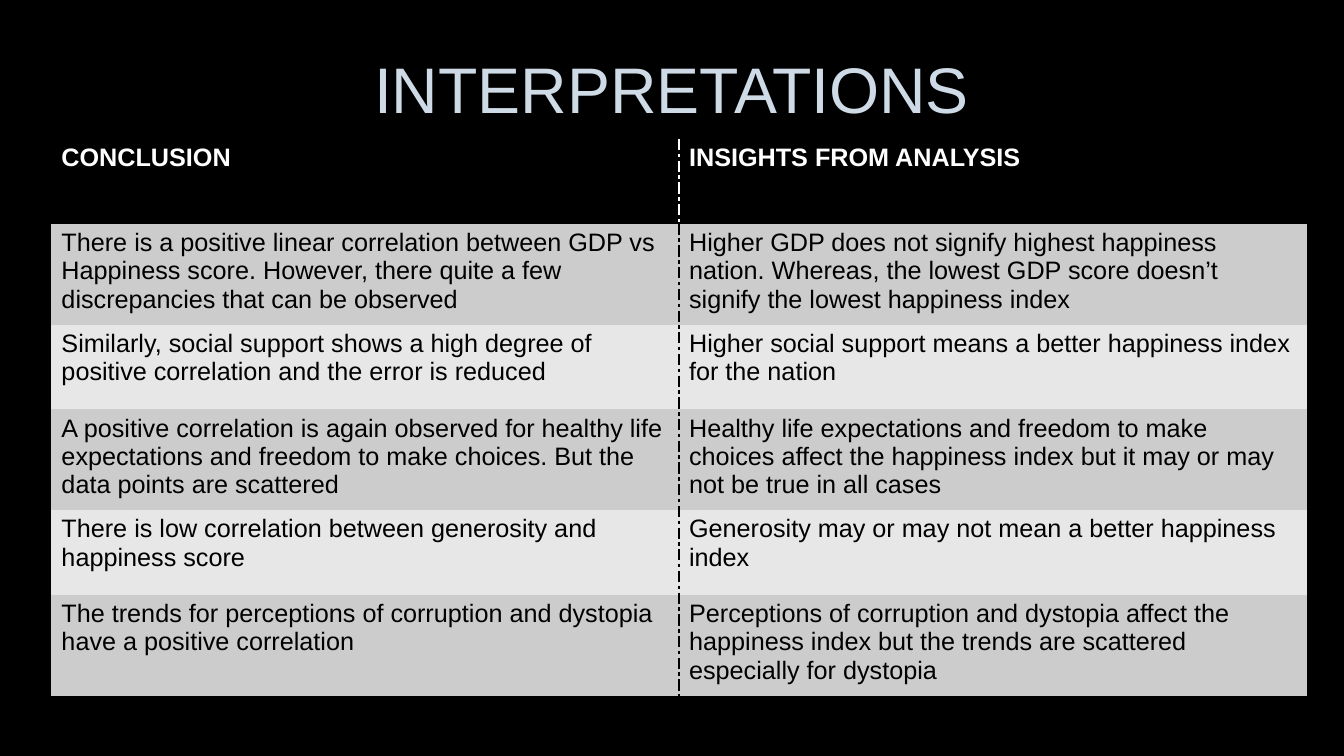
import pptx
import pptx.dml.color
import pptx.enum.text
import pptx.oxml
import pptx.oxml.ns
import pptx.util

WIDTH, HEIGHT = 13.33, 7.5
FONT = "Arial"
PLAIN_STYLE = "{2D5ABB26-0587-4C30-8999-92F81FD0307C}"
COLOURS = {
    "black": "000000",
    "white": "FFFFFF",
    "title": "CEDBE6",
    "outline": "404040",
    "odd": "CCCCCC",
    "even": "E7E7E7",
}
ROWS = [
    ("CONCLUSION", "INSIGHTS FROM ANALYSIS"),
    ("There is a positive linear correlation between GDP vs Happiness score. However, there quite a few discrepancies that can be observed",
     "Higher GDP does not signify highest happiness nation. Whereas, the lowest GDP score doesn’t signify the lowest happiness index"),
    ("Similarly, social support shows a high degree of positive correlation and the error is reduced",
     "Higher social support means a better happiness index for the nation"),
    ("A positive correlation is again observed for healthy life expectations and freedom to make choices. But the data points are scattered",
     "Healthy life expectations and freedom to make choices affect the happiness index but it may or may not be true in all cases"),
    ("There is low correlation between generosity and happiness score",
     "Generosity may or may not mean a better happiness index"),
    ("The trends for perceptions of corruption and dystopia have a positive correlation",
     "Perceptions of corruption and dystopia affect the happiness index but the trends are scattered especially for dystopia"),
]


def rgb(name):
    return pptx.dml.color.RGBColor.from_string(COLOURS[name])


def paint(fill, name):
    fill.solid()
    fill.fore_color.rgb = rgb(name)


def line_xml(tag, colour, width, dash, alpha=100):
    return pptx.oxml.parse_xml(
        f'<a:{tag} {pptx.oxml.ns.nsdecls("a")} w="{pptx.util.Pt(width)}">'
        f'<a:solidFill><a:srgbClr val="{COLOURS[colour]}">'
        f'<a:alpha val="{alpha * 1000}"/></a:srgbClr></a:solidFill>'
        f'<a:prstDash val="{dash}"/></a:{tag}>')


def write(text_frame, text, size=18, colour="black", bold=False, align="LEFT", spacing=1.0):
    paragraph = text_frame.paragraphs[0]
    paragraph.alignment = pptx.enum.text.PP_ALIGN[align]
    paragraph.line_spacing = spacing
    run = paragraph.add_run()
    run.text = text
    run.font.name = FONT
    run.font.size = pptx.util.Pt(size)
    run.font.bold = bold
    run.font.color.rgb = rgb(colour)
    return run


def add_title(slide, box):
    shape = slide.shapes.add_textbox(*map(pptx.util.Inches, box))
    text_frame = shape.text_frame
    text_frame.word_wrap = True
    text_frame.vertical_anchor = pptx.enum.text.MSO_ANCHOR.MIDDLE
    run = write(text_frame, "INTERPRETATIONS", size=46, colour="title",
                align="CENTER", spacing=0.9)
    run.font._element.insert(0, line_xml("ln", "outline", 0.75, "solid", alpha=10))


def add_findings(slide, box):
    frame = slide.shapes.add_table(len(ROWS), len(ROWS[0]), *map(pptx.util.Inches, box))
    table = frame.table
    table.horz_banding = False
    for style in table._tbl.iter(pptx.oxml.ns.qn("a:tableStyleId")):
        style.text = PLAIN_STYLE
    for row_index, row in enumerate(ROWS):
        header = row_index == 0
        band = "black" if header else ("even", "odd")[row_index % 2]
        ink = "white" if header else "black"
        for column_index, text in enumerate(row):
            cell = table.cell(row_index, column_index)
            write(cell.text_frame, text, colour=ink, bold=header)
            paint(cell.fill, band)
            side = ("lnR", "lnL")[column_index]
            cell._tc.get_or_add_tcPr().insert(0, line_xml(side, ink, 1, "lgDashDot"))


def main():
    presentation = pptx.Presentation()
    presentation.slide_width = pptx.util.Inches(WIDTH)
    presentation.slide_height = pptx.util.Inches(HEIGHT)
    slide = presentation.slides.add_slide(presentation.slide_layouts[6])
    paint(slide.background.fill, "black")
    add_title(slide, (1, 0.23, 11.32, 1.38))
    add_findings(slide, (0.51, 1.38, 12.45, 0.84 * len(ROWS)))
    presentation.save("out.pptx")


if __name__ == "__main__":
    main()
